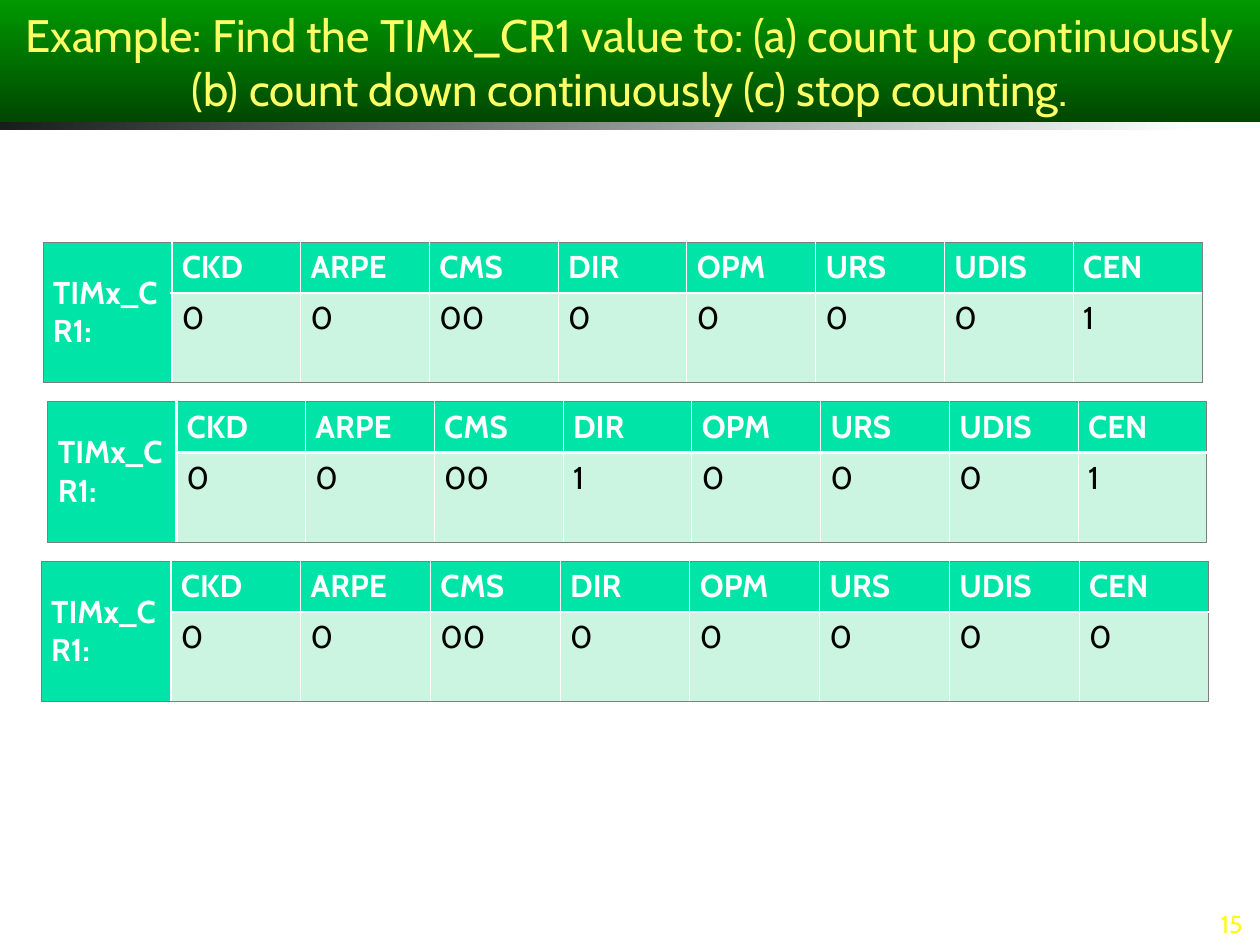
"""Build the slide that works out three TIMx_CR1 register values."""
from lxml.etree import SubElement
from pptx import Presentation
from pptx.dml.color import RGBColor
from pptx.enum.shapes import MSO_SHAPE
from pptx.enum.text import MSO_ANCHOR, MSO_AUTO_SIZE, PP_ALIGN
from pptx.oxml.ns import qn
from pptx.util import Pt

TITLE = ("Example: Find the TIMx_CR1 value to: (a) count up continuously "
         "(b) count down continuously (c) stop counting.")
REGISTER = "TIMx_CR1:"
FIELDS = ["CKD", "ARPE", "CMS", "DIR", "OPM", "URS", "UDIS", "CEN"]
REGISTER_TABLES = [
    {"left": 24.5, "column": 73.6, "bits": ["0", "0", "00", "0", "0", "0", "0", "1"]},
    {"left": 27.3, "column": 73.6, "bits": ["0", "0", "00", "1", "0", "0", "0", "1"]},
    {"left": 23.5, "column": 74.15, "bits": ["0", "0", "00", "0", "0", "0", "0", "0"]},
]
PAGE_NUMBER = "15"

SLIDE_WIDTH, SLIDE_HEIGHT = 720, 540
TITLE_HEIGHT = 69.8
FIRST_TOP, TABLE_PITCH = 138.3, 91.15
ROW_HEIGHTS = [21.6, 43.2]

THEME = {
    "banner": ("009900", "004700"),
    "rule": ("1C1C1C", "FFFFFF"),
    "header": "00E4A8",
    "body": "CBF5E1",
    "outer": ("7F7F7F", 0.45),
    "thin": ("FFFFFF", 0.45),
    "thick": ("FFFFFF", 1.47),
    "title_text": {"name": "Cabin", "size": Pt(26), "color": "FFFF66"},
    "header_text": {"name": "Cabin", "size": Pt(18), "bold": True, "color": "FFFFFF"},
    "body_text": {"name": "Cabin", "size": Pt(18), "bold": False, "color": "000000"},
    "page_text": {"name": "Cabin", "size": Pt(14), "color": "FFFB0B"},
}
FRAME_FORMAT = {"word_wrap": True, "auto_size": MSO_AUTO_SIZE.NONE,
                "vertical_anchor": MSO_ANCHOR.BOTTOM,
                "margin_left": Pt(7.2), "margin_right": Pt(7.2),
                "margin_top": Pt(3.6), "margin_bottom": Pt(3.6)}
CELL_FORMAT = {"margin_left": Pt(5.8), "margin_right": Pt(5.8),
               "margin_top": Pt(3.6), "margin_bottom": Pt(3.6)}


def set_attributes(target, values):
    for name, value in values.items():
        setattr(target, name, value)


def write_text(frame, text, style, alignment):
    paragraph = frame.paragraphs[0]
    paragraph.alignment = alignment
    run = paragraph.add_run()
    run.text = text
    set_attributes(run.font, {name: value for name, value in style.items() if name != "color"})
    run.font.color.rgb = RGBColor.from_string(style["color"])


def place(shape, left, top, width, height):
    set_attributes(shape, {"left": Pt(left), "top": Pt(top),
                           "width": Pt(width), "height": Pt(height)})


def fill_gradient(shape, colors, angle):
    shape.fill.gradient()
    shape.fill.gradient_angle = angle
    for stop, color in zip(shape.fill.gradient_stops, colors):
        stop.color.rgb = RGBColor.from_string(color)
    shape.line.fill.background()


def cell_borders(row, column):
    outer, thin, thick = THEME["outer"], THEME["thin"], THEME["thick"]
    inner_row = outer if column == 0 else thick
    return {
        "a:lnL": {0: outer, 1: thick}.get(column, thin),
        "a:lnR": {0: thick, len(FIELDS): outer}.get(column, thin),
        "a:lnT": outer if row == 0 else inner_row,
        "a:lnB": inner_row if row == 0 else outer,
    }


def draw_borders(cell, borders):
    properties = cell._tc.get_or_add_tcPr()
    for tag, (color, width) in borders.items():
        line = SubElement(properties, qn(tag), w=str(int(Pt(width))))
        SubElement(SubElement(line, qn("a:solidFill")), qn("a:srgbClr"), val=color)


def add_register_table(slide, top, left, column, bits):
    rows = [[REGISTER, *FIELDS], ["", *bits]]
    columns = len(rows[0])
    shape = slide.shapes.add_table(len(rows), columns, Pt(left), Pt(top),
                                   Pt(column * columns), Pt(sum(ROW_HEIGHTS)))
    table = shape.table
    set_attributes(table, {"first_row": False, "horz_banding": False})
    for table_column in table.columns:
        table_column.width = Pt(column)
    for row_index, (texts, height) in enumerate(zip(rows, ROW_HEIGHTS)):
        table.rows[row_index].height = Pt(height)
        for column_index, text in enumerate(texts):
            cell = table.cell(row_index, column_index)
            kind = "header" if row_index == 0 or column_index == 0 else "body"
            set_attributes(cell, CELL_FORMAT)
            draw_borders(cell, cell_borders(row_index, column_index))
            cell.fill.solid()
            cell.fill.fore_color.rgb = RGBColor.from_string(THEME[kind])
            if text:
                write_text(cell.text_frame, text, THEME[kind + "_text"], PP_ALIGN.LEFT)
    register_cell = table.cell(0, 0)
    register_cell.merge(table.cell(1, 0))
    register_cell.vertical_anchor = MSO_ANCHOR.MIDDLE


presentation = Presentation()
set_attributes(presentation, {"slide_width": Pt(SLIDE_WIDTH), "slide_height": Pt(SLIDE_HEIGHT)})
slide = presentation.slides.add_slide(presentation.slide_layouts[5])

title = slide.shapes.title
place(title, 0, 0, SLIDE_WIDTH, TITLE_HEIGHT)
fill_gradient(title, THEME["banner"], 270)
set_attributes(title.text_frame, FRAME_FORMAT)
write_text(title.text_frame, TITLE, THEME["title_text"], PP_ALIGN.CENTER)

rule = slide.shapes.add_shape(MSO_SHAPE.RECTANGLE, 0, Pt(TITLE_HEIGHT), Pt(684.7), Pt(4.5))
rule.shadow.inherit = False
fill_gradient(rule, THEME["rule"], 0)

for index, register in enumerate(REGISTER_TABLES):
    add_register_table(slide, FIRST_TOP + index * TABLE_PITCH, **register)

page_number = slide.shapes.add_textbox(Pt(563.8), Pt(519.8), Pt(153.4), Pt(20.2))
set_attributes(page_number.text_frame, FRAME_FORMAT)
write_text(page_number.text_frame, PAGE_NUMBER, THEME["page_text"], PP_ALIGN.RIGHT)

presentation.save("out.pptx")
